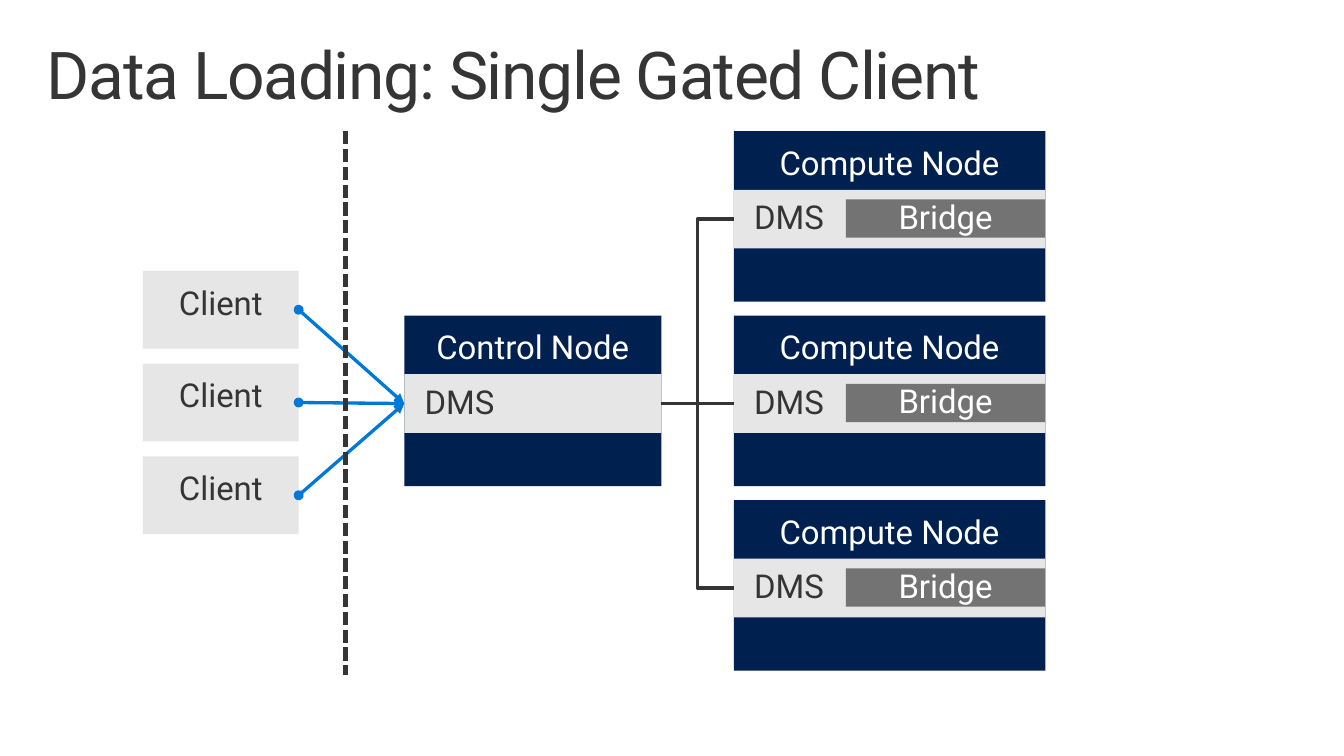
from dataclasses import dataclass

from pptx import Presentation
from pptx import util as u
from pptx.dml.color import RGBColor
from pptx.enum import dml, shapes, text
from pptx.oxml import ns
from lxml import etree


@dataclass(frozen=True)
class Theme:
    font: str = "Roboto"
    ink: str = "353535"
    white: str = "FFFFFF"
    navy: str = "002050"
    pale: str = "E6E6E6"
    gray: str = "737373"
    blue: str = "0078D7"
    title_size: float = 44.5
    label_size: float = 22.2
    line_width: float = 2.25
    divider_width: float = 3


LEFT_SITE, RIGHT_SITE = 1, 3


class Diagram:
    def __init__(self, slide, theme):
        self.slide = slide
        self.theme = theme

    def label(self, frame, content, size, color, align, margins, spacing=0):
        frame.word_wrap = True
        frame.margin_left = frame.margin_right = u.Inches(margins[0])
        frame.margin_top = frame.margin_bottom = u.Inches(margins[1])
        paragraph = frame.paragraphs[0]
        paragraph.alignment = align
        paragraph.line_spacing = 0.9
        run = paragraph.add_run()
        run.text = content
        run.font.name = self.theme.font
        run.font.size = u.Pt(size)
        run.font.color.rgb = RGBColor.from_string(color)
        if spacing:
            run.font._element.set("spc", str(spacing))

    def title(self, content, left, top, width, height):
        box = self.slide.shapes.add_textbox(
            u.Inches(left), u.Inches(top), u.Inches(width), u.Inches(height))
        self.label(box.text_frame, content, self.theme.title_size, self.theme.ink,
                   text.PP_ALIGN.LEFT, (0.16, 0.1), -90)

    def box(self, parent, content, left, top, width, height, fill, color,
            align=text.PP_ALIGN.CENTER, anchor=text.MSO_ANCHOR.MIDDLE):
        shape = parent.shapes.add_shape(
            shapes.MSO_SHAPE.RECTANGLE,
            u.Inches(left), u.Inches(top), u.Inches(width), u.Inches(height))
        shape.shadow.inherit = False
        shape.fill.solid()
        shape.fill.fore_color.rgb = RGBColor.from_string(fill)
        shape.line.fill.background()
        shape.text_frame.vertical_anchor = anchor
        self.label(shape.text_frame, content, self.theme.label_size, color,
                   align, (0.19, 0.15))
        return shape

    def client(self, left, top):
        return self.box(self.slide, "Client", left, top, 1.46, 0.73,
                        self.theme.pale, self.theme.ink, anchor=text.MSO_ANCHOR.TOP)

    def node(self, name, left, top, width, bridge_width=0):
        theme = self.theme
        group = self.slide.shapes.add_group_shape()
        self.box(group, name, left, top, width, 1.6, theme.navy, theme.white,
                 anchor=text.MSO_ANCHOR.TOP)
        service = self.box(group, "DMS", left, top + 0.55, width, 0.55,
                           theme.pale, theme.ink, text.PP_ALIGN.LEFT)
        if bridge_width:
            self.box(group, "Bridge", left + width - bridge_width, top + 0.64,
                     bridge_width, 0.36, theme.gray, theme.white)
        return service

    def line(self, kind, color, width, start=(0, 0), end=(0, 0), dash=None):
        connector = self.slide.shapes.add_connector(
            kind, *(u.Inches(value) for value in (*start, *end)))
        connector.line.color.rgb = RGBColor.from_string(color)
        connector.line.width = u.Pt(width)
        if dash:
            connector.line.dash_style = dash
        etree.SubElement(connector._element.spPr, ns.qn("a:effectLst"))
        return connector

    def link(self, source, target, kind, color):
        connector = self.line(kind, color, self.theme.line_width)
        connector.begin_connect(source, RIGHT_SITE)
        connector.end_connect(target, LEFT_SITE)
        return connector

    def arrow(self, source, target):
        connector = self.link(source, target, shapes.MSO_CONNECTOR.STRAIGHT, self.theme.blue)
        outline = connector.line._get_or_add_ln()
        etree.SubElement(outline, ns.qn("a:headEnd"), type="oval")
        etree.SubElement(outline, ns.qn("a:tailEnd"), type="triangle")


def main():
    presentation = Presentation()
    presentation.slide_width = u.Inches(12.6)
    presentation.slide_height = u.Inches(7.09)
    slide = presentation.slides.add_slide(presentation.slide_layouts[6])
    theme = Theme()
    diagram = Diagram(slide, theme)

    diagram.title("Data Loading: Single Gated Client", 0.28, 0.3, 12.04, 0.93)
    clients = [diagram.client(1.34, 2.54 + 0.87 * row) for row in range(3)]
    compute_services = [
        diagram.node("Compute Node", 6.88, 1.23 + 1.73 * row, 2.92, 1.87)
        for row in range(3)
    ]
    control_service = diagram.node("Control Node", 3.79, 2.96, 2.41)

    for service in compute_services:
        diagram.link(control_service, service, shapes.MSO_CONNECTOR.ELBOW, theme.ink)
    for client in clients:
        diagram.arrow(client, control_service)
    diagram.line(shapes.MSO_CONNECTOR.STRAIGHT, theme.ink, theme.divider_width,
                 (3.24, 1.23), (3.24, 6.33), dml.MSO_LINE.SQUARE_DOT)

    presentation.save("out.pptx")


if __name__ == "__main__":
    main()
